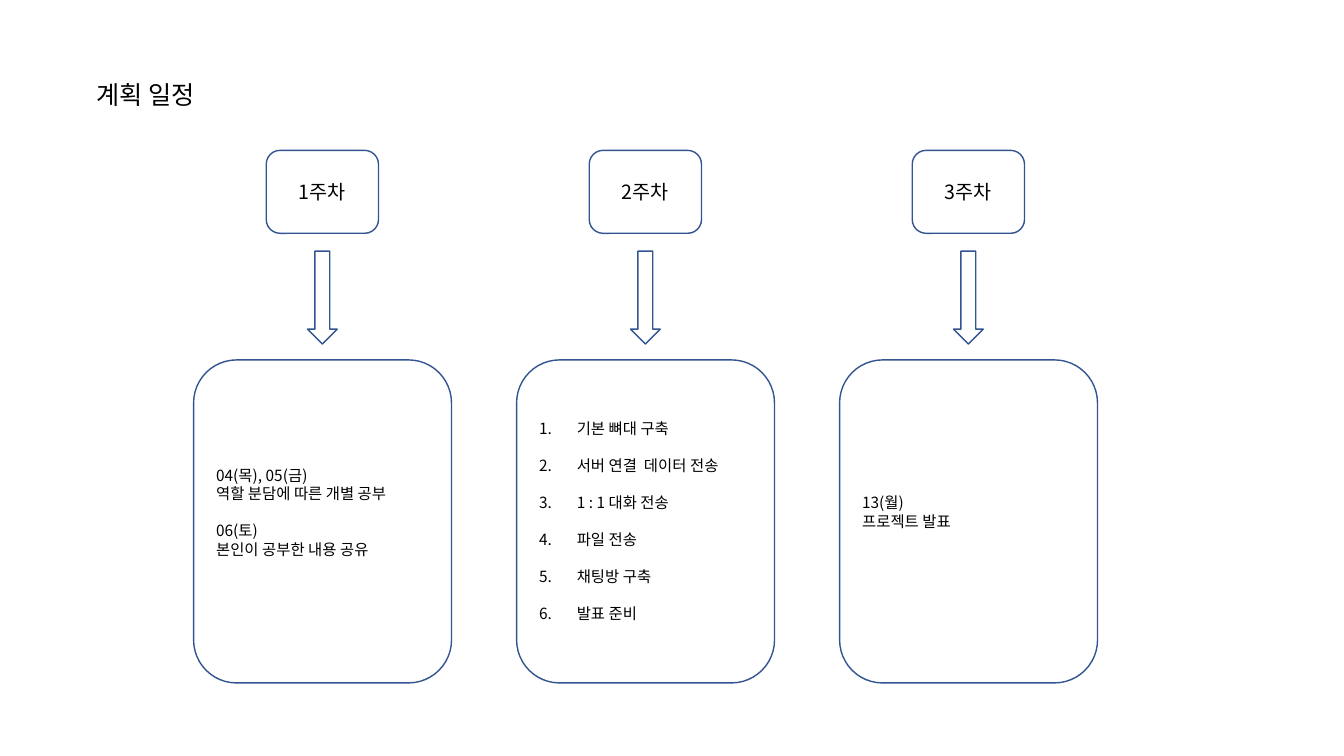
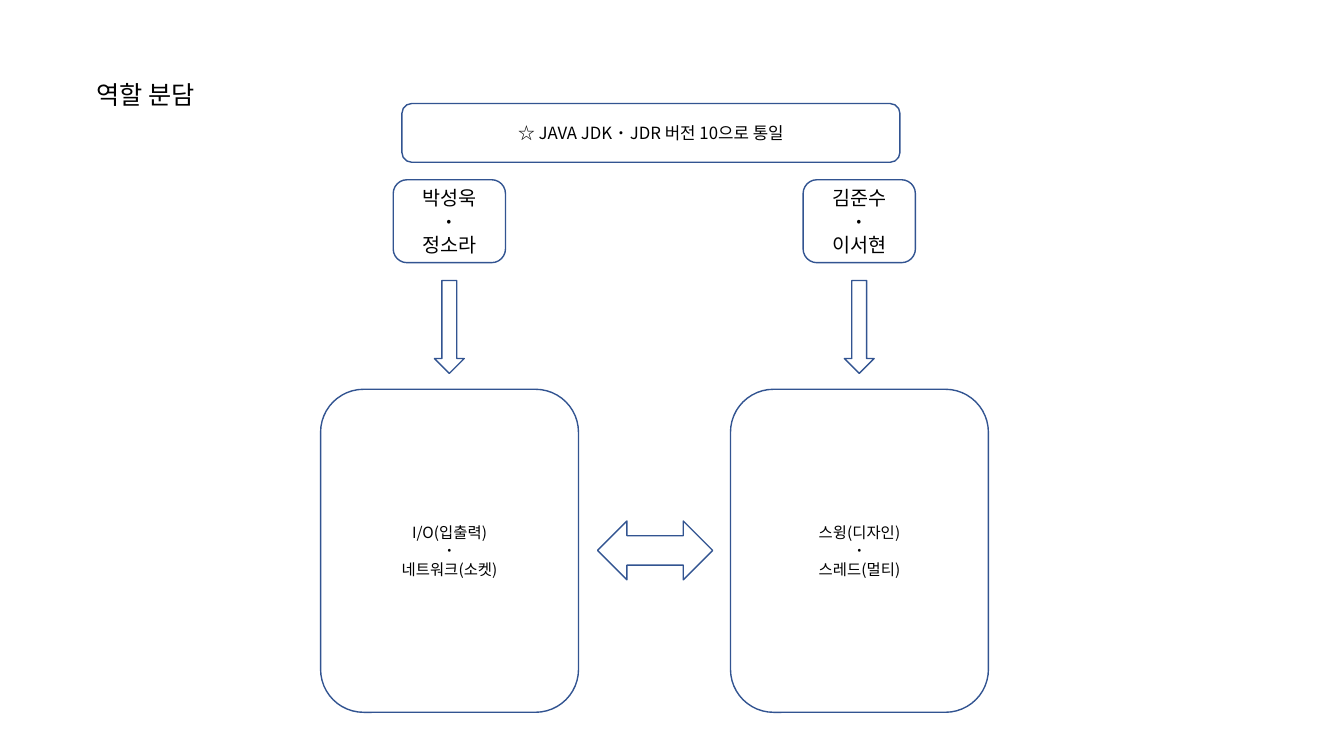
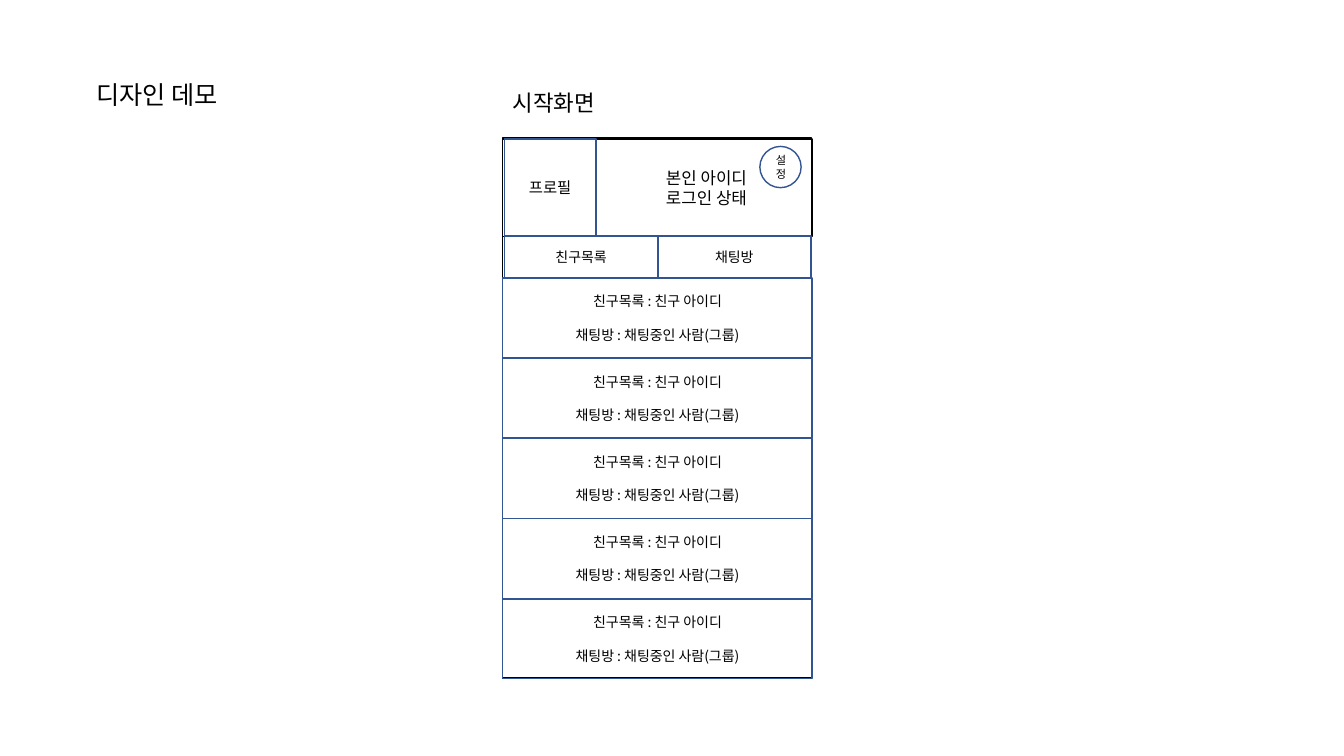
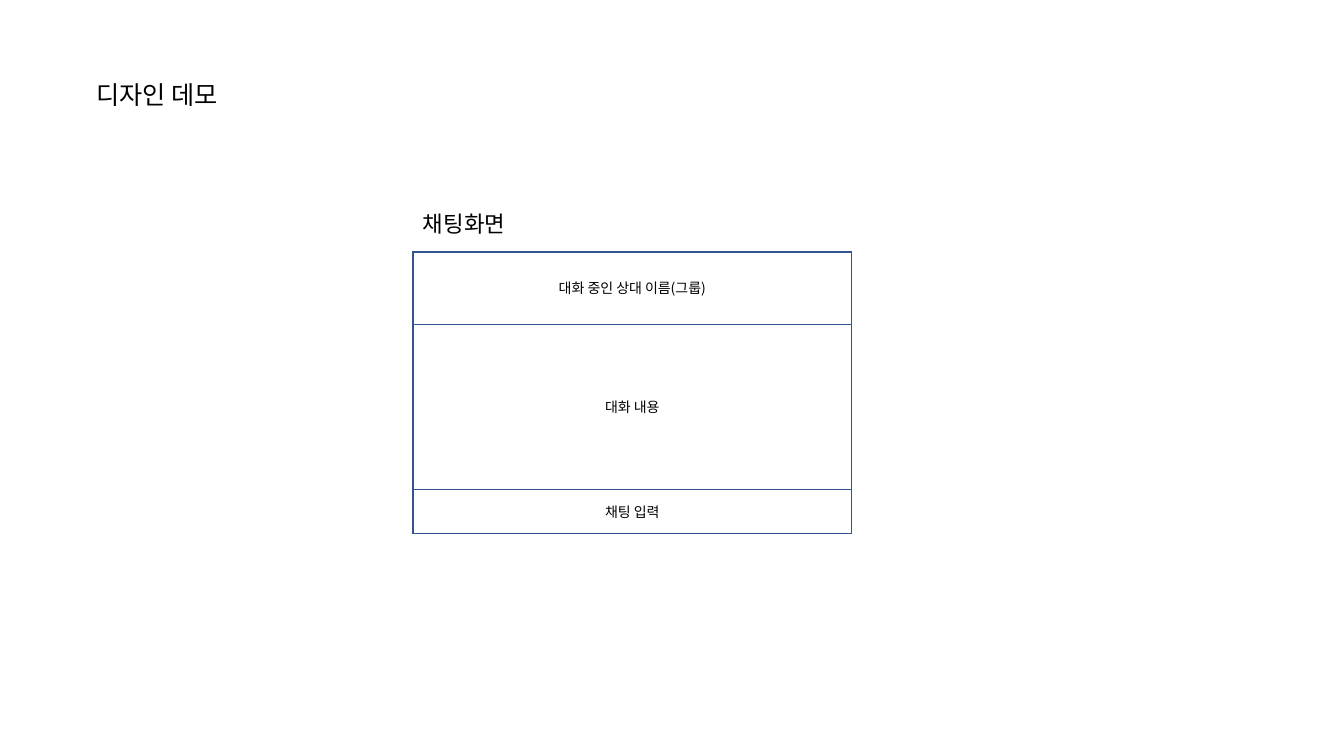
from pptx import Presentation
from pptx.dml.color import RGBColor
from pptx.enum.shapes import MSO_SHAPE
from pptx.enum.text import MSO_ANCHOR, PP_ALIGN
from pptx.oxml.xmlchemy import OxmlElement
from pptx.util import Cm, Pt

FONT = "Noto Sans CJK KR"
BLACK = "000000"
BLUE = "325491"
LINE_HEIGHT = 1.2


def write_text(shape, lines, size, align=PP_ALIGN.CENTER, gaps=(), numbered=False):
    """Fill a shape with lines; those listed in gaps get one line of space above."""
    frame = shape.text_frame
    for index, line in enumerate(lines):
        paragraph = frame.paragraphs[0] if index == 0 else frame.add_paragraph()
        paragraph.alignment = align
        paragraph.line_spacing = Pt(size * LINE_HEIGHT)
        if index in gaps:
            paragraph.space_before = Pt(size * LINE_HEIGHT)
        if numbered:
            properties = paragraph._p.get_or_add_pPr()
            properties.set("marL", str(Cm(0.95)))
            properties.set("indent", str(-Cm(0.95)))
            number = OxmlElement("a:buAutoNum")
            number.set("type", "arabicPeriod")
            properties.append(number)
        # The middle dot is bold wherever it separates two items
        for piece in filter(None, line.partition("·")):
            run = paragraph.add_run()
            run.text = piece
            run.font.size = Pt(size)
            run.font.name = FONT
            run.font.bold = piece == "·"
            run.font.color.rgb = RGBColor.from_string(BLACK)
            east_asian = OxmlElement("a:ea")
            east_asian.set("typeface", FONT)
            run.font._element.find(
                "{http://schemas.openxmlformats.org/drawingml/2006/main}latin"
            ).addnext(east_asian)


def add_box(slide, kind, left, top, width, height, line=BLUE):
    """Add an unfilled outlined shape, measured in centimetres."""
    shape = slide.shapes.add_shape(kind, Cm(left), Cm(top), Cm(width), Cm(height))
    shape.shadow.inherit = False
    shape.fill.background()
    shape.line.color.rgb = RGBColor.from_string(line)
    shape.line.width = Pt(1)
    shape.text_frame.vertical_anchor = MSO_ANCHOR.MIDDLE
    return shape


presentation = Presentation()
presentation.slide_width = Cm(33.87)
presentation.slide_height = Cm(19.05)
schedule, roles, start_demo, chat_demo = [
    presentation.slides.add_slide(presentation.slide_layouts[6]) for _ in range(4)
]

# Slide titles and screen captions
for slide, text, left, top, width, height, size in [
    (schedule, "계획 일정", 2.18, 1.88, 3.3, 1.02, 18),
    (roles, "역할 분담", 2.18, 1.88, 3.3, 1.02, 18),
    (start_demo, "디자인 데모", 2.18, 1.88, 3.94, 1.02, 18),
    (chat_demo, "디자인 데모", 2.18, 1.88, 3.94, 1.02, 18),
    (start_demo, "시작화면", 12.67, 2.11, 2.79, 0.94, 16),
    (chat_demo, "채팅화면", 10.41, 5.16, 2.79, 0.94, 16),
]:
    label = slide.shapes.add_textbox(Cm(left), Cm(top), Cm(width), Cm(height))
    label.text_frame.word_wrap = False
    write_text(label, [text], size, PP_ALIGN.LEFT)

# Columns of schedule and roles: heading, arrow, card
week_left, week_pitch, week_top = 4.88, 8.14, 3.79
role_top = 4.53
week_tasks = ["기본 뼈대 구축", "서버 연결  데이터 전송", "1 : 1 대화 전송",
              "파일 전송", "채팅방 구축", "발표 준비"]
for slide, left, top, heading, body, style, bottom_margin in [
    (schedule, week_left, week_top, ["1주차"],
     ["04(목), 05(금)", "역할 분담에 따른 개별 공부", "06(토)", "본인이 공부한 내용 공유"],
     {"align": PP_ALIGN.LEFT, "gaps": (2,)}, 0.6),
    (schedule, week_left + week_pitch, week_top, ["2주차"], week_tasks,
     {"align": PP_ALIGN.LEFT, "gaps": range(1, 6), "numbered": True}, 0.13),
    (schedule, week_left + 2 * week_pitch, week_top, ["3주차"],
     ["13(월)", "프로젝트 발표"], {"align": PP_ALIGN.LEFT}, 0.6),
    (roles, 8.08, role_top, ["박성욱", "·", "정소라"],
     ["I/O(입출력)", "·", "네트워크(소켓)"], {}, 0.13),
    (roles, 18.41, role_top, ["김준수", "·", "이서현"],
     ["스윙(디자인)", "·", "스레드(멀티)"], {}, 0.13),
]:
    heading_box = add_box(slide, MSO_SHAPE.ROUNDED_RECTANGLE, left + 1.83, top, 2.83, 2.09)
    write_text(heading_box, heading, 14)
    add_box(slide, MSO_SHAPE.DOWN_ARROW, left + 2.87, top + 2.54, 0.75, 2.34)
    card = add_box(slide, MSO_SHAPE.ROUNDED_RECTANGLE, left, top + 5.28, 6.5, 8.14)
    card.text_frame.margin_bottom = Cm(bottom_margin)
    write_text(card, body, 11, **style)

# Roles: version note and exchange arrow
version_note = add_box(roles, MSO_SHAPE.ROUNDED_RECTANGLE, 10.13, 2.61, 12.55, 1.48)
write_text(version_note, ["☆ JAVA JDK · JDR 버전 10으로 통일"], 12)
add_box(roles, MSO_SHAPE.LEFT_RIGHT_ARROW, 15.06, 13.13, 2.9, 1.48)

# Start screen: frame and header
screen_left, screen_width = 12.67, 7.8
add_box(start_demo, MSO_SHAPE.RECTANGLE, screen_left, 3.48, 7.78, 13.61, BLACK)
header = add_box(start_demo, MSO_SHAPE.RECTANGLE, screen_left, 3.5, screen_width, 2.46, BLACK)
header.text_frame.margin_left = Cm(2.72)
write_text(header, ["본인 아이디", "로그인 상태"], 12)

# Start screen: profile, tabs and settings button
for kind, text, left, top, width, height, size in [
    (MSO_SHAPE.RECTANGLE, "프로필", 12.71, 3.5, 2.31, 2.46, 11),
    (MSO_SHAPE.RECTANGLE, "친구목록", 12.71, 5.95, 3.87, 1.06, 10),
    (MSO_SHAPE.RECTANGLE, "채팅방", 16.57, 5.95, 3.87, 1.06, 10),
    (MSO_SHAPE.OVAL, "설정", 19.15, 3.69, 1.04, 1.04, 8),
]:
    write_text(add_box(start_demo, kind, left, top, width, height), [text], size)

# Start screen: list entries
for row in range(5):
    entry = add_box(start_demo, MSO_SHAPE.RECTANGLE,
                    screen_left, 7.01 + row * 2.02, screen_width, 2.01)
    write_text(entry, ["친구목록 : 친구 아이디", "채팅방 : 채팅중인 사람(그룹)"], 10, gaps=(1,))

# Chat screen: frame and stacked areas
chat_left, chat_width, area_top = 10.41, 11.05, 6.35
add_box(chat_demo, MSO_SHAPE.RECTANGLE, chat_left, area_top, chat_width, 7.1, BLACK)
for text, height in [("대화 중인 상대 이름(그룹)", 1.83), ("대화 내용", 4.15), ("채팅 입력", 1.12)]:
    area = add_box(chat_demo, MSO_SHAPE.RECTANGLE, chat_left, area_top, chat_width, height)
    write_text(area, [text], 10)
    area_top += height

presentation.save("out.pptx")
